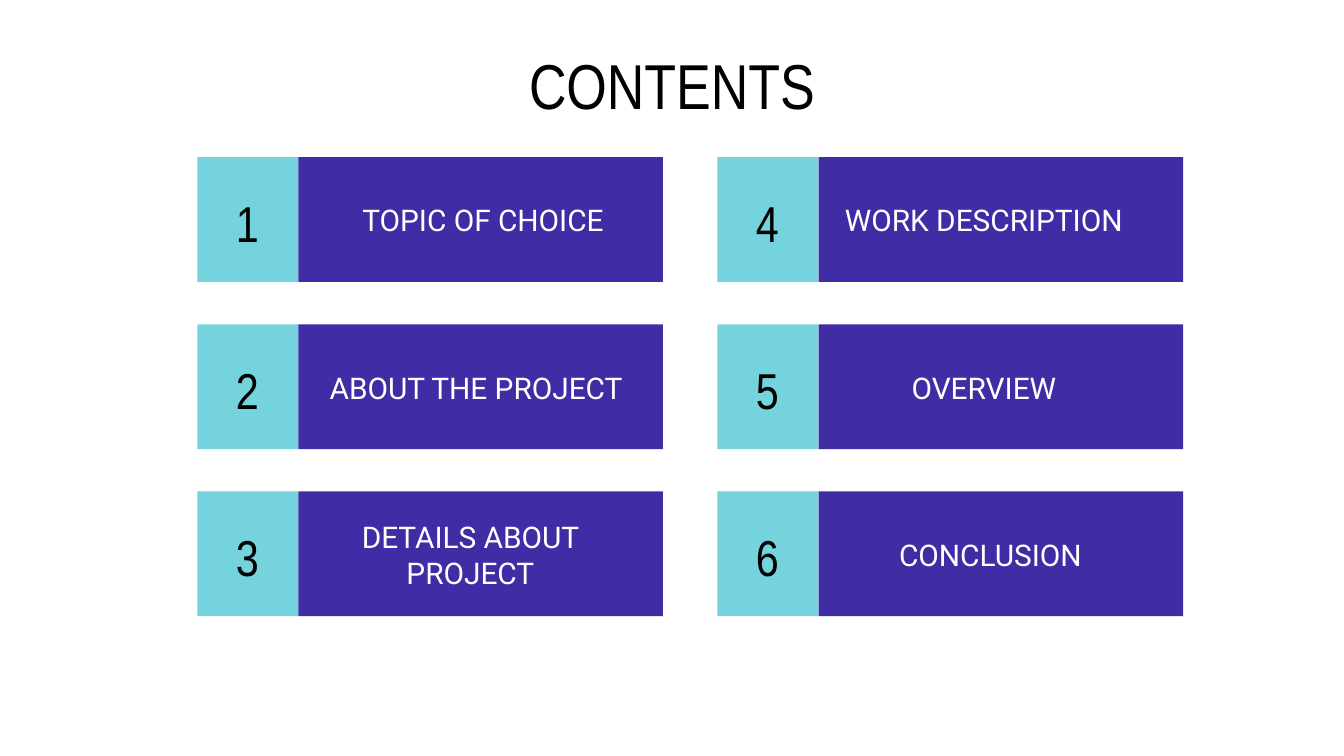
from dataclasses import dataclass

import pptx
import pptx.dml.color
import pptx.enum.shapes
import pptx.enum.text
import pptx.util

Cm = pptx.util.Cm
ALIGN = pptx.enum.text.PP_ALIGN
ANCHOR = pptx.enum.text.MSO_ANCHOR


@dataclass(frozen=True)
class Theme:
    number_fill: str = "74D3DC"
    topic_fill: str = "3F2DA5"
    dark: str = "000000"
    light: str = "FFFFFF"
    heading_font: str = "Arial Narrow"
    body_font: str = "Roboto"
    title_size: int = 34
    number_size: int = 27
    topic_size: int = 16


@dataclass(frozen=True)
class Box:
    """Position and size in centimetres."""
    left: float
    top: float
    width: float
    height: float

    def inner(self, dx, dy, width, height):
        return Box(self.left + dx, self.top + dy, width, height)

    def lengths(self):
        return Cm(self.left), Cm(self.top), Cm(self.width), Cm(self.height)


@dataclass(frozen=True)
class Topic:
    name: str
    text_width: float = 6
    align: ALIGN = ALIGN.CENTER
    indent: float = 0


THEME = Theme()
COLUMNS = [
    [
        Topic("TOPIC OF CHOICE", text_width=6.48),
        Topic("ABOUT THE PROJECT", text_width=6.22),
        Topic("DETAILS ABOUT PROJECT"),
    ],
    [
        Topic("WORK DESCRIPTION", align=ALIGN.LEFT),
        Topic("OVERVIEW", align=ALIGN.LEFT, indent=1.26),
        Topic("CONCLUSION"),
    ],
]


def rgb(value):
    return pptx.dml.color.RGBColor.from_string(value)


def add_panel(slide, box, fill):
    panel = slide.shapes.add_shape(
        pptx.enum.shapes.MSO_SHAPE.RECTANGLE, *box.lengths())
    panel.fill.solid()
    panel.fill.fore_color.rgb = rgb(fill)
    panel.line.fill.background()
    panel.shadow.inherit = False


def add_text(slide, box, text, font, size, color,
             align=ALIGN.CENTER, anchor=ANCHOR.MIDDLE, indent=0):
    frame = slide.shapes.add_textbox(*box.lengths()).text_frame
    frame.word_wrap = True
    frame.vertical_anchor = anchor
    frame.margin_left = frame.margin_right = Cm(0.25)
    frame.margin_top = frame.margin_bottom = Cm(0.25)
    paragraph = frame.paragraphs[0]
    paragraph.alignment = align
    if indent:
        paragraph._p.get_or_add_pPr().set("marL", str(Cm(indent)))
    run = paragraph.add_run()
    run.text = text
    run.font.name = font
    run.font.size = pptx.util.Pt(size)
    run.font.color.rgb = rgb(color)


def add_title(slide, box):
    add_text(slide, box, "CONTENTS", THEME.heading_font, THEME.title_size,
             THEME.dark)


def add_entry(slide, box, number, topic):
    """Place a numbered tab and, to its right, the topic panel."""
    tab_width = 1.91
    add_panel(slide, box.inner(0, 0, tab_width, box.height),
              THEME.number_fill)
    add_panel(slide, box.inner(tab_width, 0, box.width - tab_width,
                               box.height), THEME.topic_fill)
    add_text(slide, box.inner(0.02, 0.41, 1.85, 1.96), str(number),
             THEME.heading_font, THEME.number_size, THEME.dark,
             anchor=ANCHOR.TOP)
    add_text(slide, box.inner(2.16, 0.21, topic.text_width, 1.96), topic.name,
             THEME.body_font, THEME.topic_size, THEME.light,
             align=topic.align, indent=topic.indent)


def add_entries(slide, box):
    """Fill the box column by column with equal gaps."""
    entry_width, entry_height = 8.8, 2.36
    column_step = box.width - entry_width
    row_step = (box.height - entry_height) / (len(COLUMNS[0]) - 1)
    number = 1
    for column, topics in enumerate(COLUMNS):
        for row, topic in enumerate(topics):
            entry = box.inner(column * column_step, row * row_step,
                              entry_width, entry_height)
            add_entry(slide, entry, number, topic)
            number += 1


def main():
    deck = pptx.Presentation()
    deck.slide_width, deck.slide_height = Cm(25.4), Cm(14.29)
    slide = deck.slides.add_slide(deck.slide_layouts[6])
    add_title(slide, Box(1.27, 1.14, 22.86, 0.91))
    add_entries(slide, Box(3.73, 2.97, 18.63, 8.68))
    deck.save("out.pptx")


if __name__ == "__main__":
    main()
